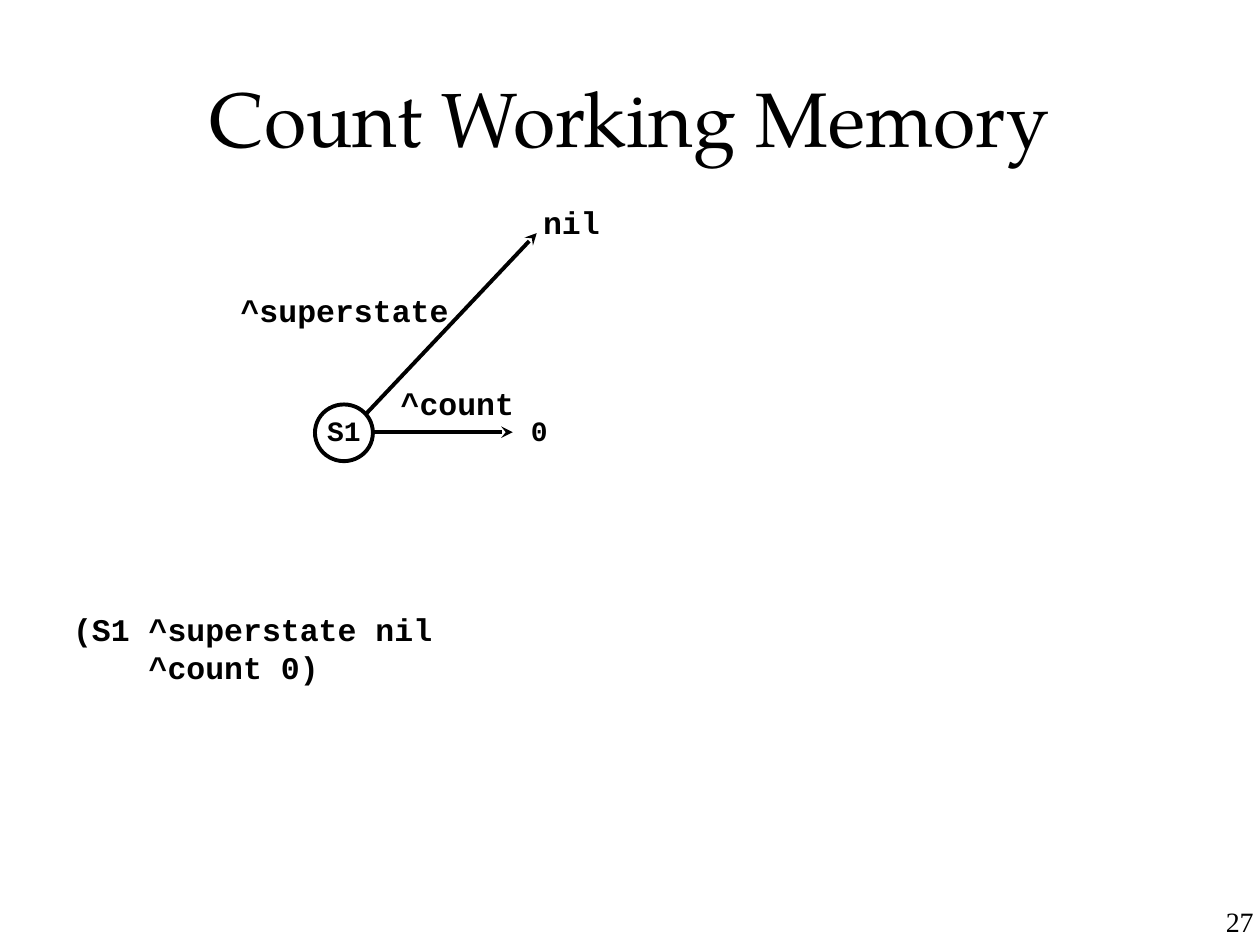
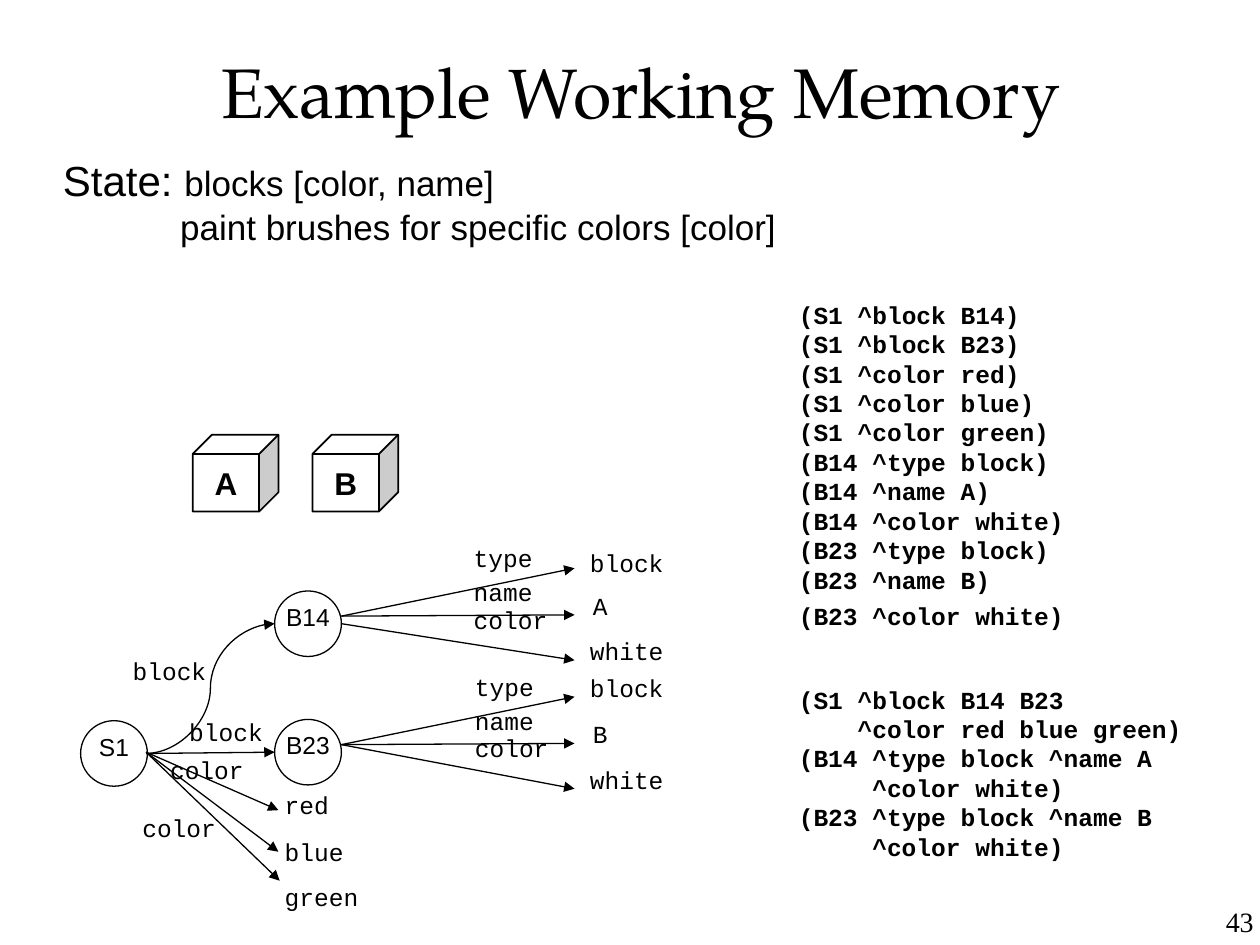
from lxml.etree import SubElement
from pptx import Presentation
from pptx.dml.color import RGBColor
from pptx.enum.shapes import MSO_CONNECTOR, MSO_SHAPE
from pptx.enum.text import MSO_ANCHOR, PP_ALIGN
from pptx.oxml.ns import qn
from pptx.util import Inches, Pt

BLACK = RGBColor(0, 0, 0)
WHITE = RGBColor(255, 255, 255)

TITLE_FONT = {"name": "TeX Gyre Pagella"}
NUMBER_FONT = {"name": "Times New Roman", "size": Pt(16)}
NODE_FONT = {"name": "Arial", "size": Pt(14)}
CUBE_FONT = {"name": "Arial", "size": Pt(18), "bold": True}
LABEL_FONT = {"name": "Courier New", "size": Pt(14)}
BOLD_LABEL_FONT = {"name": "Courier New", "size": Pt(18), "bold": True}
BOLD_NODE_FONT = {"name": "Courier New", "size": Pt(16), "bold": True}
LISTING_FONT = {"name": "Courier New", "size": Pt(14), "bold": True}

BLOCK_STEP = 1.02
CODE_CHARACTER = 0.6  # width of one character, as a share of the font size

# attribute, its top, value, its top, value width, arrow start and end heights
BLOCK_ATTRIBUTES = [
    ("type", 4.30, "block", 4.34, 0.83, 4.89, 4.51),
    ("name", 4.57, None, 4.68, 0.41, 4.89, 4.88),
    ("color", 4.79, "white", 5.04, 0.83, 4.92, 5.24),
]
# value, its top, arrow end
STATE_COLORS = [
    ("red", 6.26, (2.21, 6.43)),
    ("blue", 6.63, (2.21, 6.76)),
    ("green", 6.99, (2.22, 6.99)),
]
# characters of indent, space before in points, text
MEMORY_LISTING = [
    (0, 0, "(S1 ^block B14)"),
    (0, 0, "(S1 ^block B23)"),
    (0, 0, "(S1 ^color red)"),
    (0, 0, "(S1 ^color blue)"),
    (0, 0, "(S1 ^color green)"),
    (0, 0, "(B14 ^type block)"),
    (0, 0, "(B14 ^name A)"),
    (0, 0, "(B14 ^color white)"),
    (0, 0, "(B23 ^type block)"),
    (0, 0, "(B23 ^name B)"),
    (0, 4, "(B23 ^color white)"),
    (0, 31, "(S1 ^block B14 B23"),
    (4, 0, "^color red blue green)"),
    (0, 0, "(B14 ^type block ^name A"),
    (5, 0, "^color white)"),
    (0, 0, "(B23 ^type block ^name B"),
    (5, 0, "^color white)"),
]


def set_values(target, values):
    for name, value in values.items():
        setattr(target, name, value)


def set_frame(text_frame, inset, anchor=MSO_ANCHOR.TOP, wrap=True):
    set_values(text_frame, {
        "margin_left": Inches(inset), "margin_top": Inches(inset),
        "margin_right": Inches(inset), "margin_bottom": Inches(inset),
        "vertical_anchor": anchor, "word_wrap": wrap,
    })


def add_run(paragraph, text, font):
    run = paragraph.add_run()
    run.text = text
    set_values(run.font, font)
    run.font.color.rgb = BLACK


def add_text_box(slide, box, inset):
    shape = slide.shapes.add_textbox(*map(Inches, box))
    set_frame(shape.text_frame, inset)
    return shape.text_frame


def add_label(slide, text, box, font=LABEL_FONT, align=PP_ALIGN.LEFT, inset=0.01):
    paragraph = add_text_box(slide, box, inset).paragraphs[0]
    paragraph.alignment = align
    add_run(paragraph, text, font)


def add_listing(slide, lines, box, font, inset):
    """Write code lines, each indented by a number of characters."""
    text_frame = add_text_box(slide, box, inset)
    for index, (indent, space_before, text) in enumerate(lines):
        paragraph = text_frame.add_paragraph() if index else text_frame.paragraphs[0]
        paragraph.space_before = Pt(space_before)
        indent_paragraph(paragraph, Pt(indent * CODE_CHARACTER * font["size"].pt))
        add_run(paragraph, text, font)


def indent_paragraph(paragraph, length):
    properties = paragraph._p.get_or_add_pPr()
    properties.set("marL", str(int(length)))
    properties.set("indent", "0")


def add_arrow(slide, start, end, head="triangle", width=0.75, kind=MSO_CONNECTOR.STRAIGHT):
    connector = slide.shapes.add_connector(kind, *map(Inches, (*start, *end)))
    connector.line.color.rgb = BLACK
    connector.line.width = Pt(width)
    SubElement(connector.line._get_or_add_ln(), qn("a:tailEnd"), type=head)
    SubElement(connector._element.spPr, qn("a:effectLst"))


def add_outlined_shape(slide, kind, box, text, font, width, anchor):
    shape = slide.shapes.add_shape(kind, *map(Inches, box))
    shape.shadow.inherit = False
    shape.line.color.rgb = BLACK
    shape.line.width = Pt(width)
    set_frame(shape.text_frame, 0.01, anchor, wrap=False)
    paragraph = shape.text_frame.paragraphs[0]
    paragraph.alignment = PP_ALIGN.CENTER
    add_run(paragraph, text, font)
    return shape


def add_node(slide, text, box, font=NODE_FONT, width=0.75):
    shape = add_outlined_shape(slide, MSO_SHAPE.OVAL, box, text, font, width, MSO_ANCHOR.TOP)
    shape.fill.background()


def add_cube(slide, text, left):
    shape = add_outlined_shape(slide, MSO_SHAPE.CUBE, (left, 3.45, 0.68, 0.61),
                               text, CUBE_FONT, 1, MSO_ANCHOR.MIDDLE)
    shape.fill.solid()
    shape.fill.fore_color.rgb = WHITE


def add_titled_slide(presentation, title, box, size, inset, number):
    slide = presentation.slides.add_slide(presentation.slide_layouts[5])
    shape = slide.shapes.title
    set_values(shape, dict(zip(("left", "top", "width", "height"), map(Inches, box))))
    set_frame(shape.text_frame, inset, MSO_ANCHOR.MIDDLE)
    paragraph = shape.text_frame.paragraphs[0]
    paragraph.alignment = PP_ALIGN.CENTER
    add_run(paragraph, title, {**TITLE_FONT, "size": Pt(size)})
    add_label(slide, number, (9.17, 7.13, 0.83, 0.37), NUMBER_FONT, PP_ALIGN.RIGHT, 0.05)
    return slide


def add_block_attributes(slide, name, offset, label_left, block_lift=0, color_shift=0):
    """Fan out one block's type, name and color, moved down by offset."""
    for attribute, top, value, value_top, width, start, end in BLOCK_ATTRIBUTES:
        if attribute == "type":
            value_top -= block_lift
        if attribute == "color":
            start += color_shift
        add_label(slide, attribute, (label_left, top + offset, 0.77, 0.26))
        add_label(slide, value or name, (4.56, value_top + offset, width, 0.26),
                  align=PP_ALIGN.CENTER)
        add_arrow(slide, (2.71, start + offset), (4.56, end + offset))


def build_count_memory(presentation):
    slide = add_titled_slide(presentation, "Count Working Memory",
                             (0.5, 0.3, 9, 1.25), 44, 0.05, "27")
    add_node(slide, "S1", (2.5, 3.21, 0.46, 0.45), BOLD_NODE_FONT, 2.25)
    add_arrow(slide, (2.9, 3.29), (4.26, 1.85), "stealth", 2.25)
    add_arrow(slide, (2.96, 3.43), (4.07, 3.43), "stealth", 2.25)
    add_label(slide, "^count", (3.17, 3.04, 1.1, 0.5), BOLD_LABEL_FONT)
    add_label(slide, "^superstate", (1.9, 2.3, 2.6, 0.5), BOLD_LABEL_FONT)
    add_label(slide, "nil", (4.04, 1.59, 0.99, 0.45), BOLD_LABEL_FONT, PP_ALIGN.CENTER, 0.02)
    add_label(slide, "0", (4.07, 3.27, 0.42, 0.37), BOLD_NODE_FONT, PP_ALIGN.CENTER)
    add_listing(slide, [(0, 0, "(S1 ^superstate nil"), (4, 0, "^count 0)")],
                (0.58, 4.84, 3.2, 0.61), BOLD_LABEL_FONT, 0)


def add_state_summary(slide):
    text_frame = add_text_box(slide, (0.45, 1.18, 9.07, 0.84), 0.05)
    first = text_frame.paragraphs[0]
    add_run(first, "State: ", {"name": "Arial", "size": Pt(24)})
    second = text_frame.add_paragraph()
    indent_paragraph(second, Inches(0.93))
    detail_font = {"name": "Arial", "size": Pt(20)}
    add_run(first, "blocks [color, name]", detail_font)
    add_run(second, "paint brushes for specific colors [color]", detail_font)


def build_example_memory(presentation):
    slide = add_titled_slide(presentation, "Example Working Memory",
                             (0.84, 0.26, 8.49, 0.91), 40, 0, "43")
    add_state_summary(slide)

    add_node(slide, "S1", (0.64, 5.72, 0.53, 0.52))
    for index, name in enumerate(("B14", "B23")):
        add_node(slide, name, (2.18, 4.69 + index * BLOCK_STEP, 0.53, 0.52))
    add_arrow(slide, (1.16, 5.98), (2.18, 4.95), kind=MSO_CONNECTOR.CURVE)
    add_arrow(slide, (1.16, 5.98), (2.18, 5.97))
    add_label(slide, "block", (1.41, 5.68, 0.77, 0.26), align=PP_ALIGN.CENTER)
    add_label(slide, "block", (0.85, 5.2, 0.99, 0.26), align=PP_ALIGN.CENTER)

    add_block_attributes(slide, "A", 0, 3.75, color_shift=0.03)
    add_block_attributes(slide, "B", BLOCK_STEP, 3.76, block_lift=0.03, color_shift=-0.03)
    add_cube(slide, "A", 1.53)
    add_cube(slide, "B", 2.48)

    for color, top, arrow_end in STATE_COLORS:
        add_arrow(slide, (1.16, 5.97), arrow_end)
        add_label(slide, color, (2.25, top, 0.82, 0.26))
    add_label(slide, "color", (1.12, 6.44, 0.77, 0.26))
    add_label(slide, "color", (1.34, 5.98, 0.77, 0.26))
    add_listing(slide, MEMORY_LISTING, (6.29, 2.33, 3.46, 4.59), LISTING_FONT, 0.05)


def main():
    presentation = Presentation()
    presentation.slide_width = Inches(10)
    presentation.slide_height = Inches(7.5)
    build_count_memory(presentation)
    build_example_memory(presentation)
    presentation.save("out.pptx")


if __name__ == "__main__":
    main()
